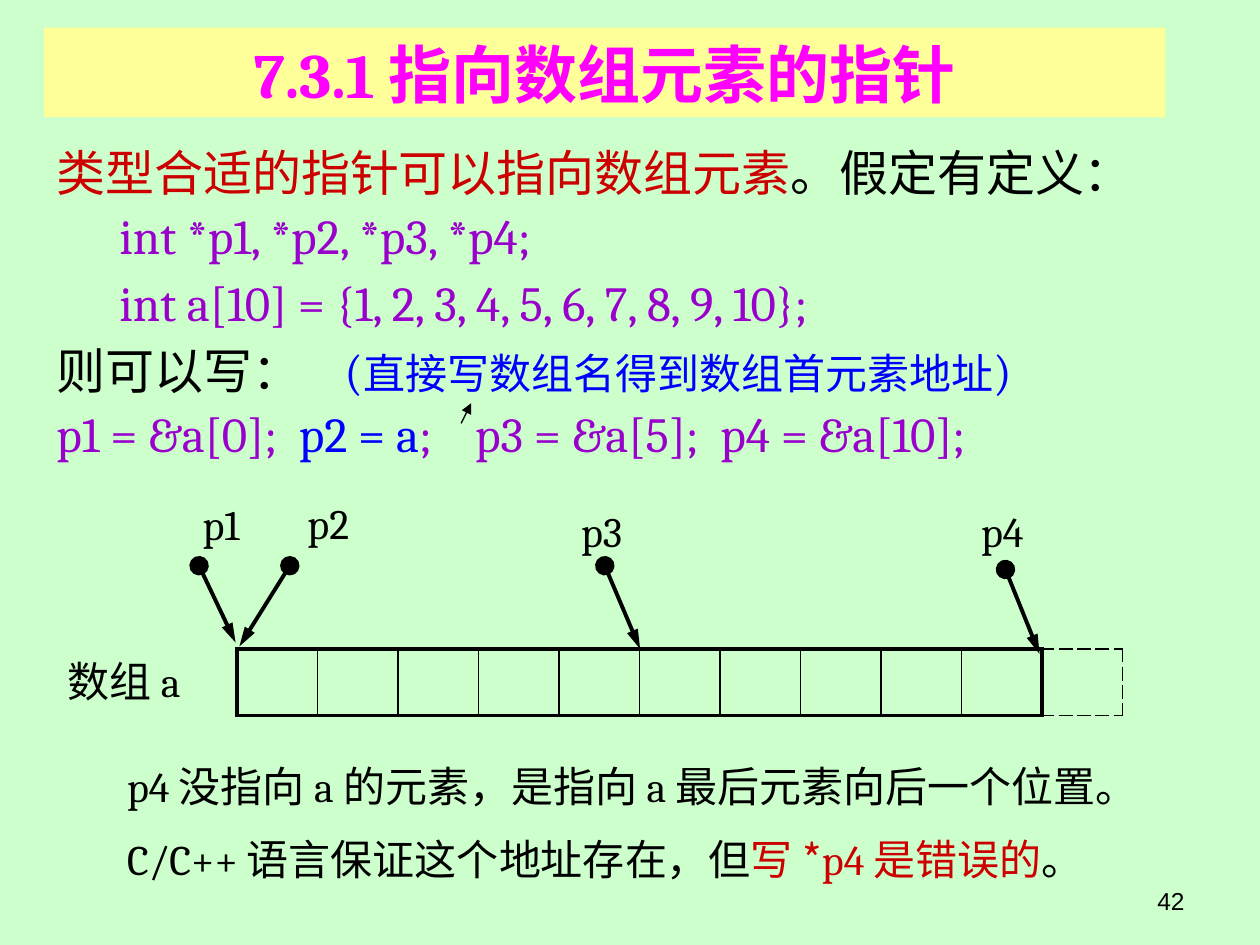
from typing import NamedTuple

from lxml.etree import SubElement
from pptx import Presentation
from pptx.dml.color import RGBColor
from pptx.enum.shapes import MSO_CONNECTOR, MSO_SHAPE
from pptx.enum.text import MSO_ANCHOR, PP_ALIGN
from pptx.oxml.ns import qn
from pptx.util import Inches, Pt

BLACK, RED, BLUE, PURPLE = "000000", "CC0000", "0000FF", "9900CC"
LATIN, CHINESE = "Cambria", "Noto Sans CJK SC"


class Span(NamedTuple):
    text: str
    color: str = BLACK
    size: float | None = None
    font: str | None = None
    gap: float = 0


class Line(NamedTuple):
    spans: list[Span]
    size: float = 24
    font: str = LATIN
    align: PP_ALIGN = PP_ALIGN.LEFT
    before: float = 0
    pitch: float | None = None
    margin: float = 0
    indent: float = 0
    bold: bool = False


class Pointer(NamedTuple):
    name: str
    label: tuple[float, float]
    start: tuple[float, float]
    end: tuple[float, float]


def rgb(color: str) -> RGBColor:
    return RGBColor.from_string(color)


def write(frame, lines: list[Line]) -> None:
    frame.word_wrap = True
    for number, line in enumerate(lines):
        paragraph = frame.paragraphs[0] if number == 0 else frame.add_paragraph()
        paragraph.alignment = line.align
        if number:
            paragraph.space_before = Pt(line.before)
        if line.pitch:
            paragraph.line_spacing = Pt(line.pitch)
        properties = paragraph._p.get_or_add_pPr()
        properties.set("marL", str(Inches(line.margin)))
        properties.set("indent", str(Inches(line.indent)))
        properties.set("hangingPunct", "0")
        paragraph.font.size = Pt(line.size)
        paragraph.font.name = line.font
        paragraph.font.bold = line.bold
        for span in line.spans:
            run = paragraph.add_run()
            run.text = span.text
            run.font.color.rgb = rgb(span.color)
            if span.size:
                run.font.size = Pt(span.size)
            if span.font:
                run.font.name = span.font
            run_properties = run._r.get_or_add_rPr()
            if span.gap:
                run_properties.set("spc", str(round(span.gap * 100)))
            SubElement(run_properties, qn("a:ea"), typeface=CHINESE)


def add_text(slide, left: float, top: float, width: float, height: float,
             lines: list[Line]) -> None:
    box = slide.shapes.add_textbox(Inches(left), Inches(top), Inches(width), Inches(height))
    write(box.text_frame, lines)


def add_arrow(slide, start: tuple[float, float], end: tuple[float, float],
              weight: float, dot: bool = False) -> None:
    arrow = slide.shapes.add_connector(
        MSO_CONNECTOR.STRAIGHT, *(Inches(value) for value in start + end))
    arrow.line.color.rgb = rgb(BLACK)
    arrow.line.width = Pt(weight)
    outline = arrow.line._get_or_add_ln()
    if dot:
        SubElement(outline, qn("a:headEnd"), type="oval", w="lg", len="lg")
    SubElement(outline, qn("a:tailEnd"), type="triangle", w="med",
               len="lg" if dot else "med")
    SubElement(arrow._element.spPr, qn("a:effectLst"))


def set_border(cell, side: str, weight: float, dash: str) -> None:
    border = SubElement(cell._tc.get_or_add_tcPr(), qn(f"a:ln{side}"), w=str(Pt(weight)))
    fill = SubElement(border, qn("a:solidFill"))
    SubElement(fill, qn("a:srgbClr"), val=BLACK)
    SubElement(border, qn("a:prstDash"), val=dash)


def add_array(slide, left: float, top: float, width: float, height: float,
              count: int) -> None:
    """Draw count solid cells and one dashed cell past the end."""
    table_frame = slide.shapes.add_table(
        1, count + 1, Inches(left), Inches(top), Inches(width), Inches(height))
    table = table_frame.table
    table.first_row = table.horz_banding = False
    thick, thin = 2.25, 1
    for index, cell in enumerate(table.iter_cells()):
        table.columns[index].width = Inches(width / (count + 1))
        past_end = index == count
        dash = "sysDash" if past_end else "solid"
        edge = thin if past_end else thick
        set_border(cell, "L", thick if index in (0, count) else thin, "solid")
        set_border(cell, "R", thick if index == count - 1 else thin, dash)
        set_border(cell, "T", edge, dash)
        set_border(cell, "B", edge, dash)
        cell.fill.background()


def main() -> None:
    presentation = Presentation()
    presentation.slide_width, presentation.slide_height = Inches(10), Inches(7.5)
    slide = presentation.slides.add_slide(presentation.slide_layouts[6])
    slide.background.fill.solid()
    slide.background.fill.fore_color.rgb = rgb("CCFFCC")

    # Explanation below the array
    add_text(slide, 0.91, 6, 8.55, 1.11, [
        Line([Span("p4 没"), Span("指向 ", font=CHINESE), Span("a "),
              Span("的元素，是指向 ", font=CHINESE), Span("a "),
              Span("最后元素向后一个位置。", font=CHINESE)], pitch=28),
        Line([Span("C/C++ "), Span("语言保证这个地址存在，但", font=CHINESE),
              Span("写 *", RED, font=CHINESE), Span("p4 ", RED),
              Span("是错误的", RED, font=CHINESE), Span("。", font=CHINESE)],
             before=13.5, pitch=28),
    ])

    # Definitions and assignments
    hanging = {"margin": 0.38, "indent": -0.38}
    code = {"margin": 0.81, "indent": -0.31}
    add_text(slide, 0.35, 1.07, 8.87, 2.84, [
        Line([Span("类型合适的指针可以指向数组元素", RED), Span("。假定有定义：")],
             size=28, pitch=34.7, **hanging),
        Line([Span("int *p1, *p2, *p3, *p4;", PURPLE)], size=28, before=2.4, **code),
        Line([Span("int a[10] = {1, 2, 3, 4, 5, 6, 7, 8, 9, 10};", PURPLE)],
             size=28, before=4.2, **code),
        Line([Span("则可以写："), Span(" ", gap=18.5), Span("(", BLUE),
              Span("直接写数组名得到数组首元素地址", BLUE, size=24), Span(")", BLUE)],
             size=28, before=4.2, pitch=34.7, **hanging),
        Line([Span("p1 = &a[0];", PURPLE), Span(" ", gap=6.2), Span("p2 = a", BLUE),
              Span(";", PURPLE), Span(" ", gap=18.5), Span("p3 = &a[5];", PURPLE),
              Span(" ", gap=6.2), Span("p4 = &a[10];", PURPLE)],
             size=28, before=2.4, **hanging),
    ])

    # Array and its name
    add_array(slide, 1.88, 5.15, 7.03, 0.53, count=10)
    add_text(slide, 0.2, 5.14, 1.57, 0.5,
             [Line([Span("数组 a")], align=PP_ALIGN.CENTER, pitch=29.7)])

    # Pointers into the array
    pointers = [
        Pointer("p1", (1.38, 3.91), (1.58, 4.49), (1.87, 5.1)),
        Pointer("p2", (2.23, 3.9), (2.3, 4.49), (1.9, 5.13)),
        Pointer("p3", (4.4, 3.96), (4.8, 4.49), (5.08, 5.15)),
        Pointer("p4", (7.58, 3.96), (7.98, 4.52), (8.25, 5.19)),
    ]
    for pointer in pointers:
        add_arrow(slide, pointer.start, pointer.end, 2.25, dot=True)
        add_text(slide, *pointer.label, 0.75, 0.5,
                 [Line([Span(pointer.name)], align=PP_ALIGN.CENTER)])

    # Title band
    title = slide.shapes.add_shape(
        MSO_SHAPE.RECTANGLE, Inches(0.35), Inches(0.22), Inches(8.9), Inches(0.71))
    title.shadow.inherit = False
    title.fill.solid()
    title.fill.fore_color.rgb = rgb("FFFF99")
    title.line.fill.background()
    title.text_frame.vertical_anchor = MSO_ANCHOR.MIDDLE
    write(title.text_frame, [Line([Span("7.3.1 指向数组元素的指针", "FF00FF")], size=36,
                                  align=PP_ALIGN.CENTER, pitch=44.6, bold=True)])

    # Arrow from the assignment of p2 to its remark
    add_arrow(slide, (3.66, 3.36), (3.74, 3.2), 0.75)

    # Page number
    add_text(slide, 7.17, 6.98, 2.33, 0.37,
             [Line([Span("42")], size=14, font="Arial", align=PP_ALIGN.RIGHT)])

    presentation.save("out.pptx")


if __name__ == "__main__":
    main()
